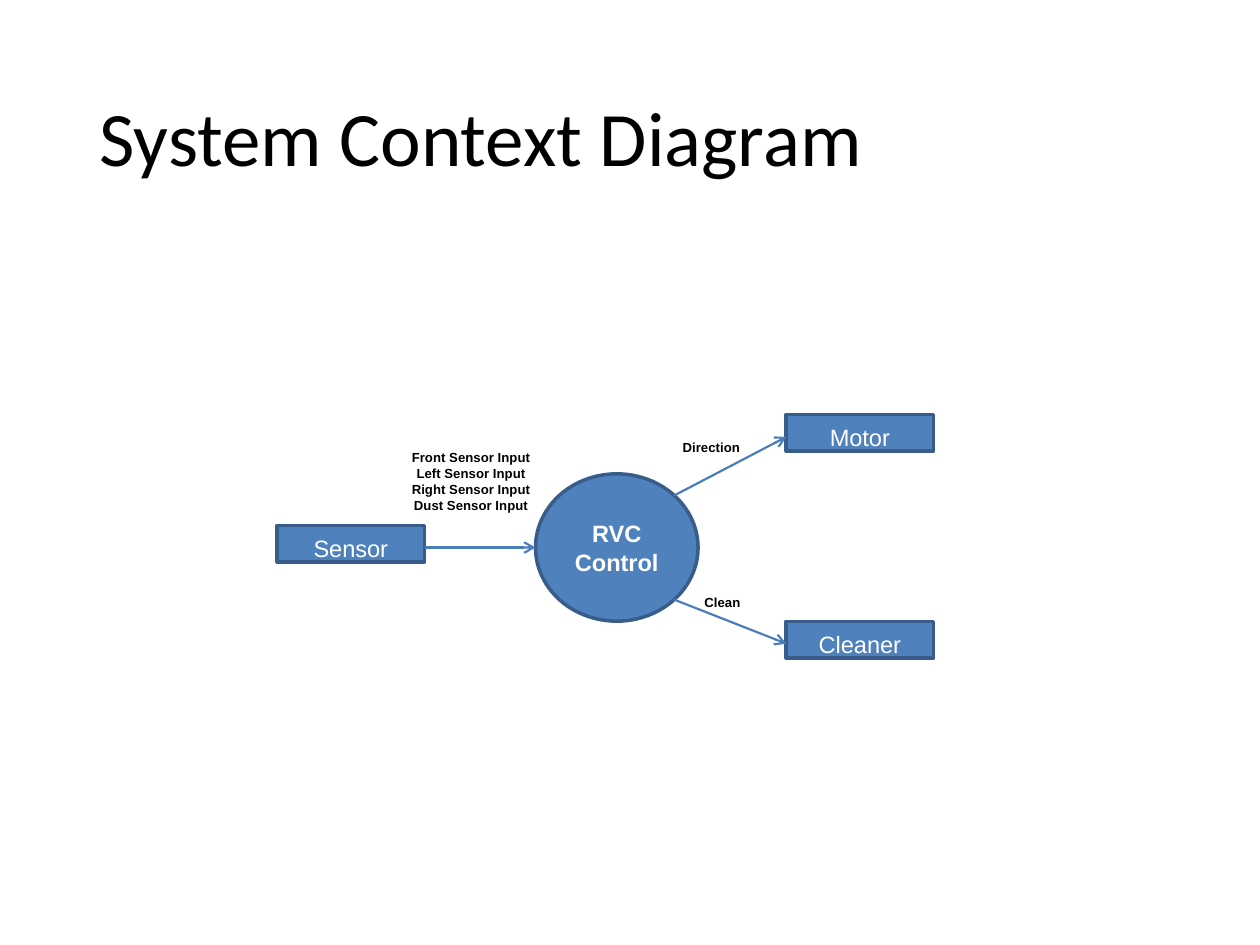
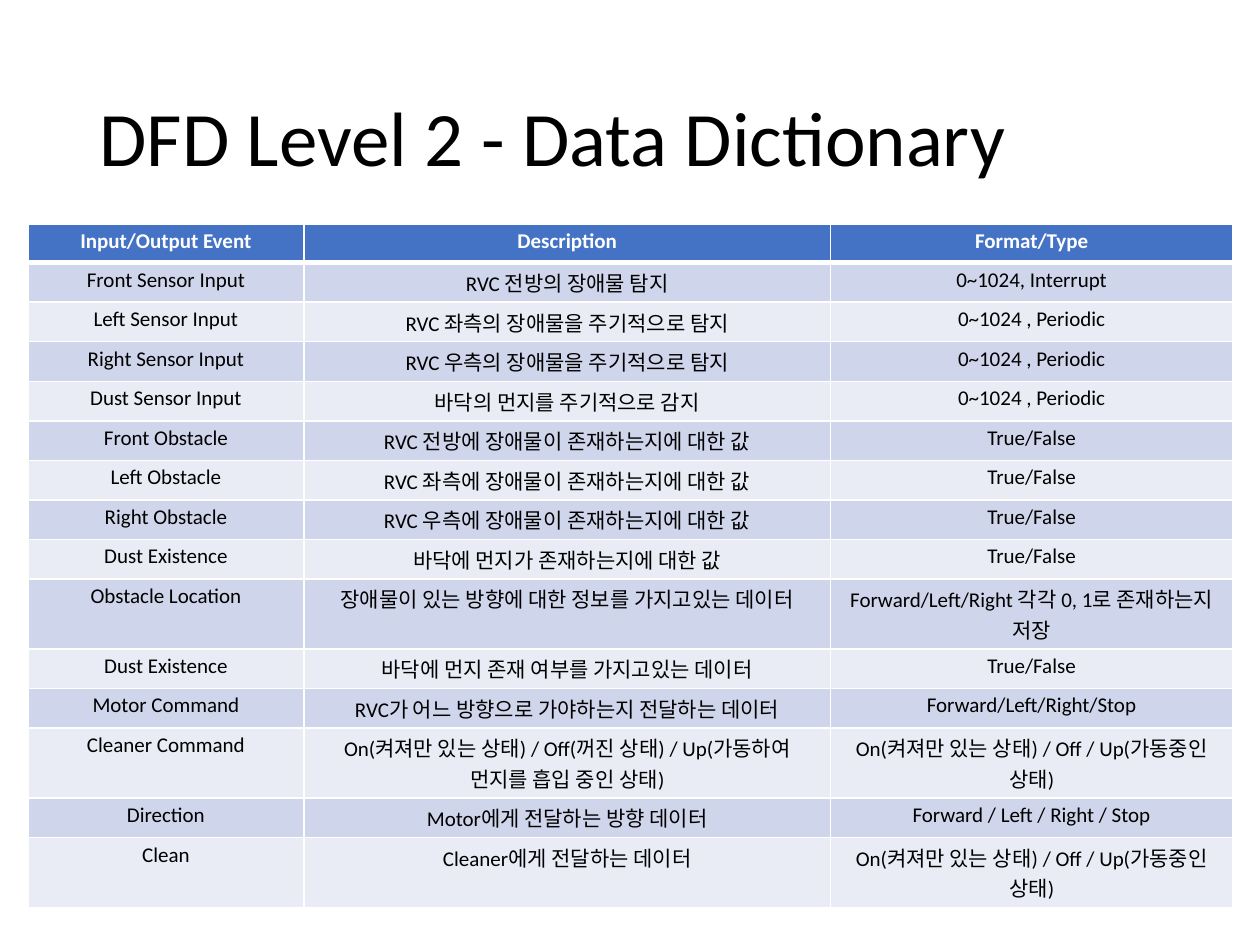
from math import sqrt

from lxml import etree
from pptx import Presentation
from pptx.dml.color import RGBColor
from pptx.enum import shapes, text
from pptx.oxml import ns
from pptx.util import Pt

BLACK = RGBColor(0x00, 0x00, 0x00)
WHITE = RGBColor(0xFF, 0xFF, 0xFF)
BLUE = RGBColor(0x4F, 0x81, 0xBD)
EDGE = RGBColor(0x38, 0x5D, 0x8A)
ARROW = RGBColor(0x4A, 0x7E, 0xBB)
HEAD = RGBColor(0x44, 0x72, 0xC4)
BANDS = RGBColor(0xCF, 0xD5, 0xEA), RGBColor(0xE9, 0xEB, 0xF5)

LEFT, MID = text.PP_ALIGN.LEFT, text.PP_ALIGN.CENTER
TOP, CENTER = text.MSO_ANCHOR.TOP, text.MSO_ANCHOR.MIDDLE

TITLE = {"size": Pt(44), "name": "Calibri", "bold": False}
NODE = {"size": Pt(13.5), "name": "Arial", "bold": False}
HUB = {**NODE, "bold": True}
LABEL = {"size": Pt(7.5), "name": "Arial", "bold": True}
CELL = {"size": Pt(12), "name": "Calibri", "bold": False}
HEADER = {**CELL, "bold": True}

BOX_W, BOX_H = 84.2, 20.9
PORT = 12.8
HUB_AT = 306, 270.8, 92.9, 84.2

COLS = 157.7, 301, 229.7
ROW_H = 22.1
PERIODIC = "0~1024 , Periodic"
FLAG = "True/False"
STATES = "On(켜져만 있는 상태) / Off / Up(가동중인 상태)"
ROWS = [
    ("Input/Output Event", "Description", "Format/Type"),
    ("Front Sensor Input", "RVC 전방의 장애물 탐지", "0~1024, Interrupt"),
    ("Left Sensor Input", "RVC 좌측의 장애물을 주기적으로 탐지", PERIODIC),
    ("Right Sensor Input", "RVC 우측의 장애물을 주기적으로 탐지", PERIODIC),
    ("Dust Sensor Input", "바닥의 먼지를 주기적으로 감지", PERIODIC),
    ("Front Obstacle", "RVC 전방에 장애물이 존재하는지에 대한 값", FLAG),
    ("Left Obstacle", "RVC 좌측에 장애물이 존재하는지에 대한 값", FLAG),
    ("Right Obstacle", "RVC 우측에 장애물이 존재하는지에 대한 값", FLAG),
    ("Dust Existence", "바닥에 먼지가 존재하는지에 대한 값", FLAG),
    ("Obstacle Location", "장애물이 있는 방향에 대한 정보를 가지고있는 데이터",
     "Forward/Left/Right 각각 0, 1로 존재하는지 저장"),
    ("Dust Existence", "바닥에 먼지 존재 여부를 가지고있는 데이터", FLAG),
    ("Motor Command", "RVC가 어느 방향으로 가야하는지 전달하는 데이터",
     "Forward/Left/Right/Stop"),
    ("Cleaner Command",
     "On(켜져만 있는 상태) / Off(꺼진 상태) / Up(가동하여 먼지를 흡입 중인 상태)", STATES),
    ("Direction", "Motor에게 전달하는 방향 데이터", "Forward / Left / Right / Stop"),
    ("Clean", "Cleaner에게 전달하는 데이터", STATES),
]


def put(item, form):
    for key, value in form.items():
        setattr(item, key, value)


def write(frame, lines, font, color, align, pitch=None):
    frame.text = "\n".join(lines)
    for para in frame.paragraphs:
        put(para, {"alignment": align, "line_spacing": pitch})
        put(para.font, font)
        para.font.color.rgb = color


def pad(frame, top, anchor, wrap):
    put(frame, {"margin_left": 0, "margin_right": 0, "margin_bottom": 0,
                "margin_top": Pt(top), "vertical_anchor": anchor,
                "word_wrap": wrap})


def start(deck, name):
    slide = deck.slides.add_slide(deck.slide_layouts[5])
    title = slide.shapes.title
    put(title, {"left": Pt(49.7), "top": Pt(28.8),
                "width": Pt(620.6), "height": Pt(104.4)})
    title.text_frame.vertical_anchor = CENTER
    write(title.text_frame, [name], TITLE, BLACK, LEFT, 0.9)
    return slide


def node(slide, kind, at, lines, font, top, anchor):
    shape = slide.shapes.add_shape(kind, *map(Pt, at))
    shape.shadow.inherit = False
    shape.fill.solid()
    shape.fill.fore_color.rgb = BLUE
    shape.line.color.rgb = EDGE
    shape.line.width = Pt(2)
    pad(shape.text_frame, top, anchor, False)
    write(shape.text_frame, lines, font, WHITE, MID)


def box(slide, x, y, name):
    node(slide, shapes.MSO_SHAPE.RECTANGLE, (x, y, BOX_W, BOX_H),
         [name], NODE, 5, TOP)


def label(slide, at, lines, align):
    frame = slide.shapes.add_textbox(*map(Pt, at)).text_frame
    pad(frame, 1, TOP, False)
    write(frame, lines, LABEL, BLACK, align, Pt(9.1))


def arrow(slide, *ends):
    line = slide.shapes.add_connector(
        shapes.MSO_CONNECTOR.STRAIGHT, *map(Pt, ends))
    line.line.color.rgb = ARROW
    line.line.width = Pt(1.25)
    props = line._element.spPr
    etree.SubElement(props.find(ns.qn("a:ln")), ns.qn("a:tailEnd"), type="arrow")
    etree.SubElement(props, ns.qn("a:effectLst"))


def border(cell, base):
    props = cell._tc.get_or_add_tcPr()
    for side, width in zip("LRTB", (1, 1, 1, base)):
        edge = etree.SubElement(props, ns.qn(f"a:ln{side}"), w=str(Pt(width)))
        fill = etree.SubElement(edge, ns.qn("a:solidFill"))
        etree.SubElement(fill, ns.qn("a:srgbClr"), val=str(WHITE))


def grid(slide, rows):
    table = slide.shapes.add_table(
        len(rows), len(COLS), Pt(16), Pt(128), Pt(sum(COLS)),
        Pt(ROW_H * len(rows))).table
    for col, width in zip(table.columns, COLS):
        col.width = Pt(width)
    for i, row in enumerate(rows):
        table.rows[i].height = Pt(ROW_H)
        for j, words in enumerate(row):
            cell = table.cell(i, j)
            put(cell, {"margin_left": Pt(5.2), "margin_right": Pt(5.2),
                       "margin_top": Pt(2.6), "margin_bottom": Pt(2.6)})
            border(cell, 1 if i else 3)
            cell.fill.solid()
            cell.fill.fore_color.rgb = BANDS[(i - 1) % 2] if i else HEAD
            write(cell.text_frame, [words], CELL if i else HEADER,
                  BLACK if i else WHITE, MID)


def context(deck):
    slide = start(deck, "System Context Diagram")
    x, y, w, h = HUB_AT
    mid_x, mid_y = x + w / 2, y + h / 2
    dx, dy = w / sqrt(8), h / sqrt(8)
    in_x, in_y = 158.4, 300.2
    out_x = 449.3

    node(slide, shapes.MSO_SHAPE.OVAL, HUB_AT, ["RVC", "Control"], HUB, 0, CENTER)
    box(slide, in_x, in_y, "Sensor")
    arrow(slide, in_x + BOX_W, mid_y, x, mid_y)
    for name, out_y, sign in (("Motor", 236.9, -1), ("Cleaner", 355, 1)):
        box(slide, out_x, out_y, name)
        arrow(slide, mid_x + dx, mid_y + sign * dy, out_x, out_y + PORT)

    inputs = [f"{side} Sensor Input" for side in ("Front", "Left", "Right", "Dust")]
    label(slide, (234.9, 255.6, 68.4, 37.4), inputs, MID)
    label(slide, (390.1, 249.8, 33.8, 10.1), ["Direction"], LEFT)
    label(slide, (402.5, 338.4, 22.3, 10.1), ["Clean"], LEFT)


def main():
    deck = Presentation()
    put(deck, {"slide_width": Pt(720), "slide_height": Pt(540)})
    context(deck)
    grid(start(deck, "DFD Level 2 - Data Dictionary"), ROWS)
    deck.save("out.pptx")


if __name__ == "__main__":
    main()
